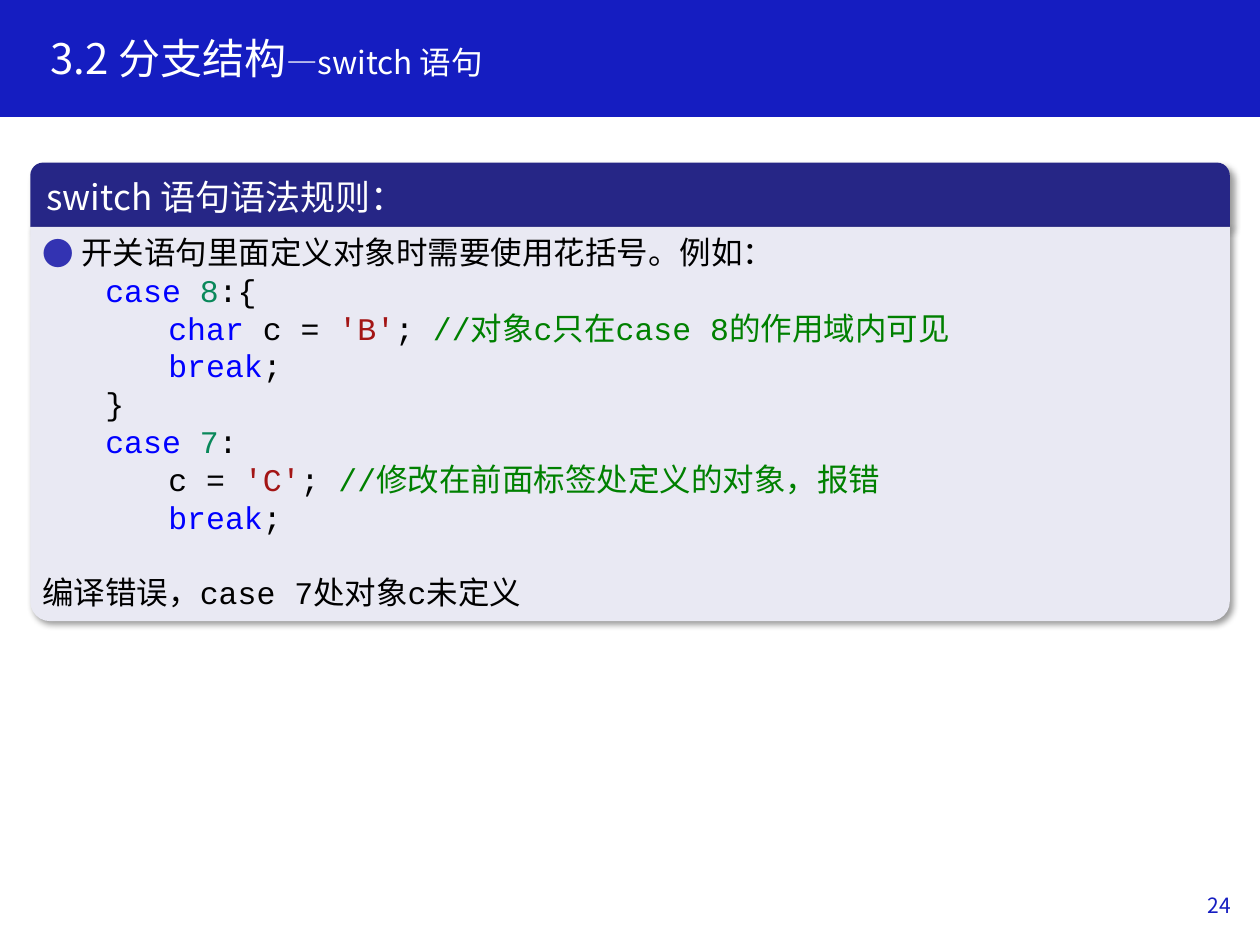
from lxml import etree
from pptx import Presentation
from pptx.dml.color import RGBColor
from pptx.enum.shapes import MSO_SHAPE
from pptx.enum.text import MSO_ANCHOR, PP_ALIGN
from pptx.oxml import parse_xml
from pptx.oxml.ns import nsdecls, qn
from pptx.util import Inches, Pt

RECTANGLE = MSO_SHAPE.RECTANGLE
ROUND_PAIR = MSO_SHAPE.ROUND_2_SAME_RECTANGLE
MIDDLE, TOP = MSO_ANCHOR.MIDDLE, MSO_ANCHOR.TOP
LEFT, RIGHT = PP_ALIGN.LEFT, PP_ALIGN.RIGHT

SANS, MONO = "Noto Sans CJK SC", "Courier New"
WHITE = RGBColor(0xFF, 0xFF, 0xFF)
BLACK = RGBColor(0, 0, 0)
BANNER_BLUE = RGBColor(0x15, 0x1D, 0xC1)
HEADING_BLUE = RGBColor(0x26, 0x26, 0x86)
PANEL_GREY = RGBColor(0xE9, 0xE9, 0xF3)
KEYWORD = RGBColor(0, 0, 0xFF)
NUMBER = RGBColor(0x09, 0x88, 0x5A)
LITERAL = RGBColor(0xA3, 0x15, 0x15)
COMMENT = RGBColor(0, 0x80, 0)
BULLET = "3333B2"

BREAK_LINE = (1, [("break", KEYWORD), (";", BLACK)])
RULES = [
    (0.31, [("开关语句里面定义对象时需要使用花括号。例如：", BLACK)]),
    (0.5, [("case ", KEYWORD), ("8", NUMBER), (":{", BLACK)]),
    (1, [("char", KEYWORD), (" c = ", BLACK), ("'B'", LITERAL), ("; ", BLACK),
         ("//对象c只在case 8的作用域内可见", COMMENT)]),
    BREAK_LINE,
    (0.5, [("}", BLACK)]),
    (0.5, [("case ", KEYWORD), ("7", NUMBER), (":", BLACK)]),
    (1, [("c = ", BLACK), ("'C'", LITERAL), ("; ", BLACK),
         ("//修改在前面标签处定义的对象，报错", COMMENT)]),
    BREAK_LINE,
    (0, [("编译错误，case 7处对象c未定义", BLACK)]),
]


def style_paragraph(paragraph, size, font, color=None, align=LEFT):
    """Set the shared font of a paragraph and the East Asian font of its runs."""
    paragraph.alignment = align
    paragraph.font.size = Pt(size)
    paragraph.font.name = font
    if color is not None:
        paragraph.font.color.rgb = color
    for run in paragraph.runs:
        run.font.name = font
        latin = run.font._element.find(qn("a:latin"))
        east_asian = etree.Element(qn("a:ea"), typeface=SANS)
        latin.addnext(east_asian)


def add_runs(paragraph, parts):
    """Append coloured runs to a paragraph."""
    for text, color in parts:
        run = paragraph.add_run()
        run.text = text
        run.font.color.rgb = color


def cast_shadow(shape):
    """Give a shape a soft shadow to the lower right."""
    shape.shadow.inherit = False
    shape.element.spPr.find(qn("a:effectLst")).append(parse_xml(
        f'<a:outerShdw {nsdecls("a")} blurRad="{Pt(4)}" dist="{Pt(3)}" dir="2700000" '
        'algn="tl" rotWithShape="0"><a:srgbClr val="000000"><a:alpha val="40000"/>'
        '</a:srgbClr></a:outerShdw>'))


def add_banner(slide, left, top, width, height):
    """Draw the title band and set the title on it."""
    band = slide.shapes.add_shape(RECTANGLE, left, top, width, height)
    band.shadow.inherit = False
    band.fill.solid()
    band.fill.fore_color.rgb = BANNER_BLUE
    band.line.color.rgb = BANNER_BLUE
    band.line.width = Pt(1)
    title = slide.shapes.title
    title.element.addprevious(band.element)
    title.left, title.top = left + Inches(0.3), top + Inches(0.23)
    title.width, title.height = Inches(5.74), Inches(0.51)
    title.text_frame.vertical_anchor = MIDDLE
    heading = title.text_frame.paragraphs[0]
    heading.line_spacing = 0.9
    for text, size in (("3.2 分支结构", 24), ("—switch 语句", 18)):
        run = heading.add_run()
        run.text = text
        run.font.size = Pt(size)
        run.font.color.rgb = WHITE
    style_paragraph(heading, 24, SANS, WHITE)


def add_card_part(card, box, corners, fill, anchor):
    """Add one shadowed half of the card and return its text frame."""
    part = card.shapes.add_shape(ROUND_PAIR, *box)
    part.adjustments[0], part.adjustments[1] = corners
    part.fill.solid()
    part.fill.fore_color.rgb = fill
    part.line.fill.background()
    cast_shadow(part)
    part.text_frame.word_wrap = True
    part.text_frame.vertical_anchor = anchor
    return part.text_frame


def add_rule_card(slide, left, top, width, height):
    """Draw the card with its heading and the code example."""
    card = slide.shapes.add_group_shape()
    split = Inches(0.51)
    heading_frame = add_card_part(
        card, (left, top, width, split), (0.2, 0), HEADING_BLUE, MIDDLE)
    heading = heading_frame.paragraphs[0]
    add_runs(heading, [("switch 语句语法规则：", WHITE)])
    style_paragraph(heading, 20, SANS)
    heading.runs[0].font.size = Pt(20)

    body = add_card_part(
        card, (left, top + split, width, height - split), (0, 0.05), PANEL_GREY, TOP)
    body.margin_left = Inches(0.05)
    for index, (indent, parts) in enumerate(RULES):
        line = body.add_paragraph() if index else body.paragraphs[0]
        add_runs(line, parts)
        style_paragraph(line, 18, MONO)
        for run in line.runs:
            run.font.size = Pt(18)
        properties = line._p.get_or_add_pPr()
        properties.set("marL", str(Inches(indent)))
        if index == 0:
            properties.set("indent", str(-Inches(indent)))
            default_font = properties.find(qn("a:defRPr"))
            for xml in (f'<a:buClr {nsdecls("a")}><a:srgbClr val="{BULLET}"/></a:buClr>',
                        f'<a:buFont {nsdecls("a")} typeface="{SANS}"/>',
                        f'<a:buChar {nsdecls("a")} char="●"/>'):
                default_font.addprevious(parse_xml(xml))
    body.paragraphs[-1].space_before = Pt(21.5)


def add_page_number(slide, left, top, width, height):
    """Write the page number at the right of its box."""
    frame = slide.shapes.add_textbox(left, top, width, height).text_frame
    frame.word_wrap = True
    frame.vertical_anchor = MIDDLE
    number = frame.paragraphs[0]
    add_runs(number, [("24", BANNER_BLUE)])
    style_paragraph(number, 12, SANS, align=RIGHT)
    number.runs[0].font.size = Pt(12)


def main():
    """Build the slide and save it."""
    deck = Presentation()
    deck.slide_width, deck.slide_height = Inches(10), Inches(7.5)
    slide = deck.slides.add_slide(deck.slide_layouts[5])
    add_banner(slide, 0, 0, deck.slide_width, Inches(0.92))
    add_rule_card(slide, Inches(0.24), Inches(1.29), Inches(9.52), Inches(3.64))
    add_page_number(slide, Inches(7.62), Inches(6.98), Inches(2.25), Inches(0.4))
    deck.save("out.pptx")


main()
